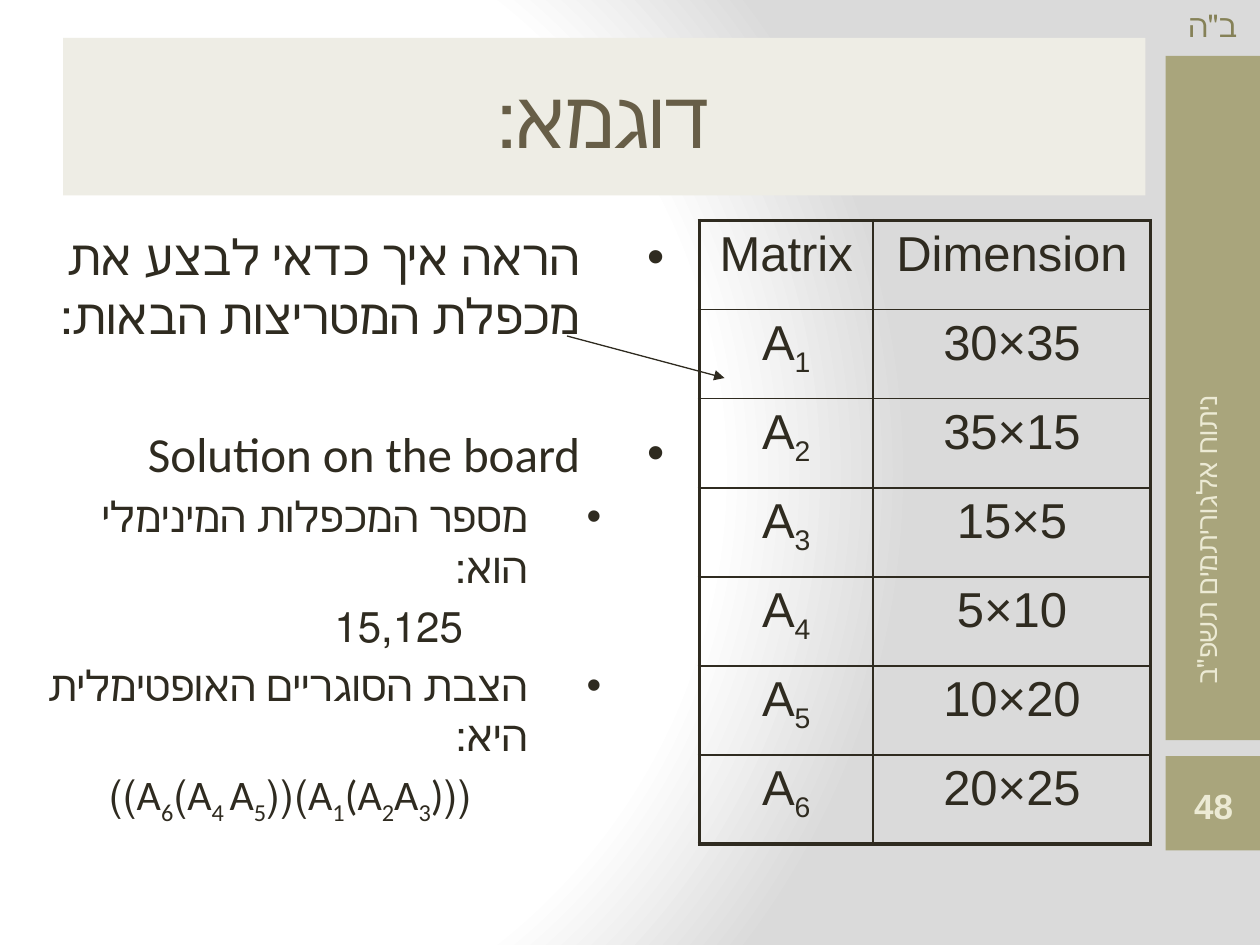
from lxml import etree
from pptx import Presentation
from pptx.dml.color import RGBColor
from pptx.enum import shapes, text
from pptx.oxml import ns, parse_xml
from pptx.util import Pt

COLORS = {
    "ink": "2F2B20", "olive": "A9A57C", "cream": "ECEAD4", "moss": "858157",
    "title": "675E47", "panel": "EEEDE5", "white": "FFFFFF", "gray": "DADADA",
}
LEFT, CENTER, RIGHT = text.PP_ALIGN.LEFT, text.PP_ALIGN.CENTER, text.PP_ALIGN.RIGHT
DIMENSIONS = ["30×35", "35×15", "15×5", "5×10", "10×20", "20×25"]
BODY = [
    ("הראה איך כדאי לבצע את מכפלת המטריצות הבאות:",
     dict(size=28, before=5.6, margin=48, hanging=48)),
    ("Solution on the board", dict(size=28, before=45, margin=48, hanging=48)),
    ("מספר המכפלות המינימלי הוא:", dict(size=24, before=5, margin=78, hanging=42, level=1)),
    ("15,125", dict(size=24, before=5, margin=115, level=1)),
    ("הצבת הסוגריים האופטימלית היא:", dict(size=24, before=5, margin=78, hanging=42, level=1)),
    ("((A_1_(A_2_A_3_))((A_4 _A_5_)A_6_))", dict(size=24, before=5, margin=110, level=1)),
]


def color(name):
    """Return the named colour."""
    return RGBColor.from_string(COLORS[name])


def add_text(paragraph, content, size=18, font="Arial", fill="ink", align=LEFT, bold=False,
             rtl=False, before=0, margin=0, hanging=0, level=0, spacing=0):
    """Write one paragraph, with underscores around each subscript."""
    paragraph.alignment = align
    paragraph.level = level
    paragraph.space_before = Pt(before)
    properties = paragraph._p.get_or_add_pPr()
    properties.set("marL", str(Pt(margin)))
    properties.set("indent", str(Pt(-hanging)))
    properties.set("rtl", str(int(rtl)))
    if hanging:
        bullet_font = etree.SubElement(properties, ns.qn("a:buFont"))
        bullet_font.set("typeface", "Arial")
        etree.SubElement(properties, ns.qn("a:buChar")).set("char", "•")
    for index, part in enumerate(content.split("_")):
        if not part:
            continue
        run = paragraph.add_run()
        run.text = part
        run.font.size = Pt(size)
        run.font.name = font
        run.font.bold = bold
        run.font.color.rgb = color(fill)
        if index % 2:
            run.font._element.set("baseline", "-25000")
        if spacing:
            run.font._element.set("spc", str(spacing * 100))


def add_box(slide, box, fill=None, kind=shapes.MSO_SHAPE.RECTANGLE):
    """Add a borderless shape and return it."""
    shape = slide.shapes.add_shape(kind, *map(Pt, box))
    shape.shadow.inherit = False
    shape.line.fill.background()
    if fill:
        shape.fill.solid()
        shape.fill.fore_color.rgb = color(fill)
    else:
        shape.fill.background()
    return shape


def add_label(slide, box, content, **style):
    """Add a wrapping text box with one paragraph and return it."""
    label = slide.shapes.add_textbox(*map(Pt, box))
    label.text_frame.word_wrap = True
    add_text(label.text_frame.paragraphs[0], content, **style)
    return label


def add_background(slide):
    """Fill the background with a circular gradient."""
    slide.background.fill.solid()
    properties = slide.element.find(".//" + ns.qn("p:bgPr"))
    stops = "".join(
        f'<a:gs pos="{position}000"><a:srgbClr val="{COLORS[name]}"/></a:gs>'
        for position, name in [(0, "white"), (75, "white"), (100, "gray")])
    properties.replace(properties[0], parse_xml(
        f'<a:gradFill {ns.nsdecls("a")} rotWithShape="1"><a:gsLst>{stops}</a:gsLst>'
        '<a:path path="circle"><a:fillToRect l="20000" t="50000" r="100000" b="50000"/>'
        '</a:path></a:gradFill>'))


def add_sidebar(slide, box):
    """Add the side strip with its course name and page number."""
    left, top, width, height = box
    add_box(slide, (left, top + 432, width, 54), "olive")
    add_label(slide, (left + 6, top, 48, 29), 'ב"ה', fill="moss")
    add_box(slide, (left, top + 32, width, 391), "olive")
    course = add_label(slide, (left - 79, top + 308, 207, 29), 'ניתוח אלגוריתמים תשפ"ב',
                       size=16, fill="cream", align=RIGHT, rtl=True)
    course.rotation = 270
    number = add_box(slide, (left + 6, top + 445, 43, 31), kind=shapes.MSO_SHAPE.DOUBLE_BRACKET)
    number.adjustments[0] = 0.18
    number.text_frame.word_wrap = False
    add_text(number.text_frame.paragraphs[0], "48", size=20, fill="cream", align=CENTER, bold=True)


def add_title(slide, box):
    """Add the title panel."""
    panel = add_box(slide, box, "panel")
    panel.text_frame.vertical_anchor = text.MSO_ANCHOR.MIDDLE
    add_text(panel.text_frame.paragraphs[0], "דוגמא:", size=46, font="Cambria", fill="title",
             align=CENTER, rtl=True, spacing=-1)


def add_body(slide, box):
    """Add the right-to-left bullet list."""
    frame = slide.shapes.add_textbox(*map(Pt, box)).text_frame
    frame.word_wrap = True
    for index, (content, style) in enumerate(BODY):
        paragraph = frame.add_paragraph() if index else frame.paragraphs[0]
        add_text(paragraph, content, font="Calibri", align=RIGHT, rtl=True, **style)


def set_borders(cell, widths):
    """Draw the left, right, top and bottom borders of a cell."""
    properties = cell._tc.get_or_add_tcPr()
    for side, width in zip("LRTB", widths):
        properties.append(parse_xml(
            f'<a:ln{side} {ns.nsdecls("a")} w="{Pt(width)}"><a:solidFill>'
            f'<a:srgbClr val="{COLORS["ink"]}"/></a:solidFill></a:ln{side}>'))


def add_matrix_table(slide, box):
    """Add the table of matrices and dimensions."""
    rows = [("Matrix", "Dimension")]
    rows += [(f"A_{index}_", size) for index, size in enumerate(DIMENSIONS, 1)]
    table = slide.shapes.add_table(len(rows), 2, *map(Pt, box)).table
    table.first_row = table.horz_banding = False
    for column, share in zip(table.columns, (0.385, 0.615)):
        column.width = Pt(box[2] * share)
    last = len(rows) - 1
    for row, values in enumerate(rows):
        table.rows[row].height = Pt(box[3] / len(rows))
        for column, value in enumerate(values):
            cell = table.cell(row, column)
            edges = (column == 0, column == 1, row == 0, row == last)
            set_borders(cell, [2.25 if edge else 1 for edge in edges])
            cell.fill.background()
            add_text(cell.text_frame.paragraphs[0], value, size=28, align=CENTER, before=5.6)


def add_arrow(slide, start, end):
    """Add an arrow between two points."""
    arrow = slide.shapes.add_connector(
        shapes.MSO_CONNECTOR.STRAIGHT, *map(Pt, start + end))
    arrow.line.color.rgb = color("ink")
    arrow.line.width = Pt(0.75)
    head = etree.SubElement(arrow.line._get_or_add_ln(), ns.qn("a:tailEnd"))
    head.set("type", "triangle")
    etree.SubElement(arrow._element.spPr, ns.qn("a:effectLst"))


def main():
    """Build and save the slide."""
    presentation = Presentation()
    presentation.slide_width, presentation.slide_height = Pt(720), Pt(540)
    slide = presentation.slides.add_slide(presentation.slide_layouts[6])
    add_background(slide)
    add_sidebar(slide, (666, 0, 54, 540))
    add_title(slide, (36, 21.6, 618.5, 90))
    add_body(slide, (14.4, 126, 372.2, 356.4))
    add_matrix_table(slide, (399.6, 126, 258, 356.4))
    add_arrow(slide, (324, 192), (414, 216))
    presentation.save("out.pptx")


if __name__ == "__main__":
    main()
